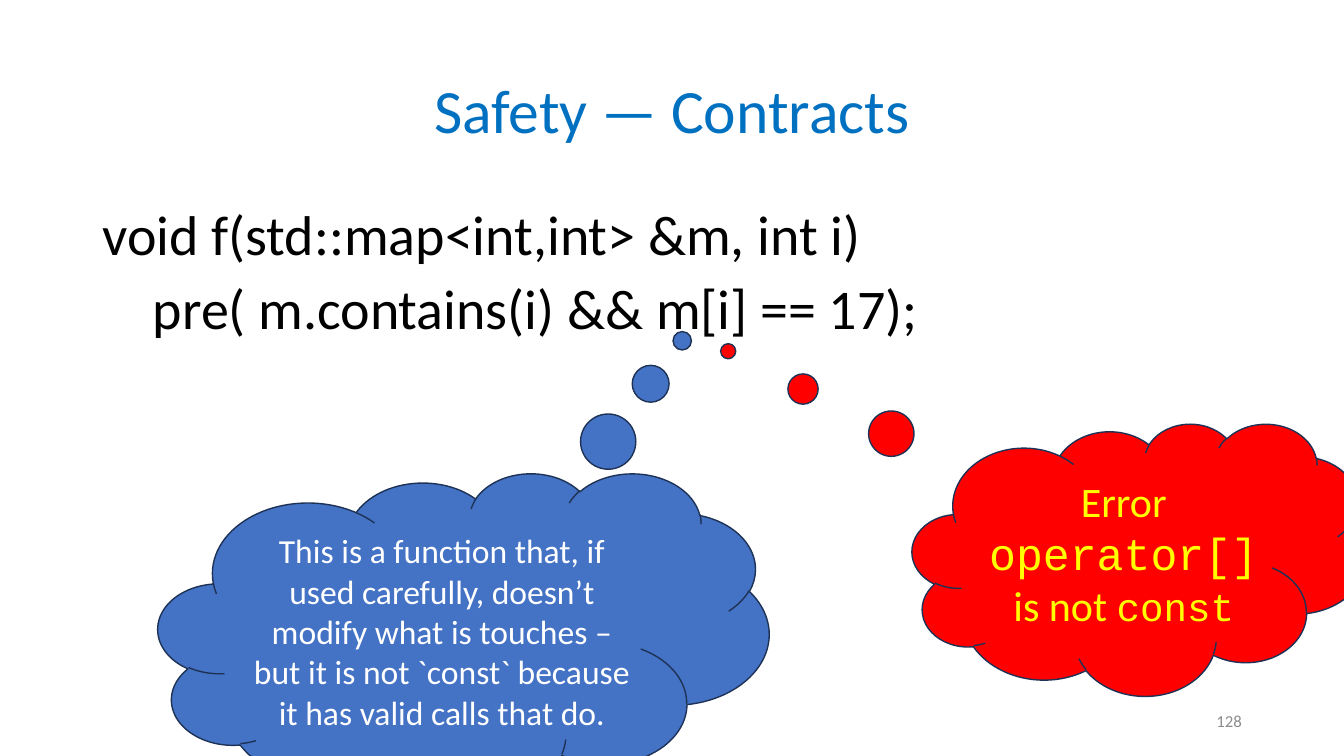
import pptx
import pptx.util
import pptx.dml.color
import pptx.enum.shapes
import pptx.enum.text
import pptx.oxml.ns
import lxml.etree

Pt = pptx.util.Pt
ALIGN = pptx.enum.text.PP_ALIGN
ANCHOR = pptx.enum.text.MSO_ANCHOR

# Theme: colours, fonts and type sizes
THEME = {
    "blue": "4472C4", "red": "FF0000", "outline": "1E3256",
    "title": {"name": "Calibri", "size": 44, "color": "0070C0"},
    "code": {"name": "Calibri", "size": 40, "color": "000000"},
    "thought": {"name": "Calibri", "size": 24, "color": "FFFFFF"},
    "error": {"name": "Calibri", "size": 30, "color": "FFFF00"},
    "operator": {"name": "Courier New", "size": 32, "color": "FFFF00"},
    "keyword": {"name": "Courier New", "size": 28, "color": "FFFF00"},
    "number": {"name": "Calibri", "size": 12, "color": "8C8C8C"},
}

# Content: each line is a list of (text, style) spans; places are in points
TITLE = [[("Safety — Contracts", "title")]]
TITLE_AT = (66, 28.8, 828, 104.4)
CODE = [
    [("void f(std::map<int,int> &m, int i)", "code")],
    [("    pre( m.contains(i) && m[i] == 17);", "code")],
]
CODE_AT = (66, 144, 828, 342.7)
CLOUDS = [
    {
        "at": (113, 337.7, 436.3, 236.9), "tail": (0.358, -0.898), "fill": "blue",
        "lines": [[("This is a function that, if used carefully, doesn’t modify what is "
                    "touches – but it is not `const` because it has valid calls that do.",
                    "thought")]],
    },
    {
        "at": (651.6, 302.4, 325.4, 194.4), "tail": (-0.904, -0.765), "fill": "red",
        "lines": [
            [("Error", "error")],
            [("operator[]", "operator")],
            [("is not ", "error"), ("const", "keyword")],
        ],
    },
]
NUMBER = [[("128", "number")]]
NUMBER_AT = (678.2, 500.4, 216, 28.8)


def rgb(value):
    return pptx.dml.color.RGBColor.from_string(value)


def place(shape, at):
    for name, value in zip(("left", "top", "width", "height"), at):
        setattr(shape, name, Pt(value))


def write(shape, lines, anchor, para_format, gap=0, plain=False):
    frame = shape.text_frame
    frame_format = {"word_wrap": True, "vertical_anchor": anchor,
                    "auto_size": pptx.enum.text.MSO_AUTO_SIZE.NONE}
    for name, value in frame_format.items():
        setattr(frame, name, value)
    for index, line in enumerate(lines):
        para = frame.add_paragraph() if index else frame.paragraphs[0]
        for name, value in para_format.items():
            setattr(para, name, value)
        para.space_before = Pt(gap if index else 0)
        if plain:
            properties = para._p.get_or_add_pPr()
            properties.set("marL", "0")
            properties.set("indent", "0")
            lxml.etree.SubElement(properties, pptx.oxml.ns.qn("a:buNone"))
        for text, style in line:
            span = para.add_run()
            span.text = text
            look = THEME[style]
            for name, value in {"name": look["name"], "size": Pt(look["size"])}.items():
                setattr(span.font, name, value)
            span.font.color.rgb = rgb(look["color"])


deck = pptx.Presentation()
deck.slide_width, deck.slide_height = Pt(960), Pt(540)
page = deck.slides.add_slide(deck.slide_layouts[1])

# Title and code
title, code = page.shapes.title, page.placeholders[1]
place(title, TITLE_AT)
write(title, TITLE, ANCHOR.MIDDLE, {"alignment": ALIGN.CENTER, "line_spacing": 0.9})
place(code, CODE_AT)
write(code, CODE, ANCHOR.TOP, {"alignment": ALIGN.LEFT, "line_spacing": 0.9},
      gap=10, plain=True)

# Thought clouds
for cloud in CLOUDS:
    shape = page.shapes.add_shape(pptx.enum.shapes.MSO_SHAPE.CLOUD_CALLOUT,
                                  *map(Pt, cloud["at"]))
    shape.shadow.inherit = False
    for index, value in enumerate(cloud["tail"]):
        shape.adjustments[index] = value
    shape.fill.solid()
    shape.fill.fore_color.rgb = rgb(THEME[cloud["fill"]])
    shape.line.color.rgb = rgb(THEME["outline"])
    shape.line.width = Pt(1)
    write(shape, cloud["lines"], ANCHOR.MIDDLE, {"alignment": ALIGN.CENTER})

# Page number
number = page.shapes.add_textbox(*map(Pt, NUMBER_AT))
write(number, NUMBER, ANCHOR.MIDDLE, {"alignment": ALIGN.RIGHT})

deck.save("out.pptx")
